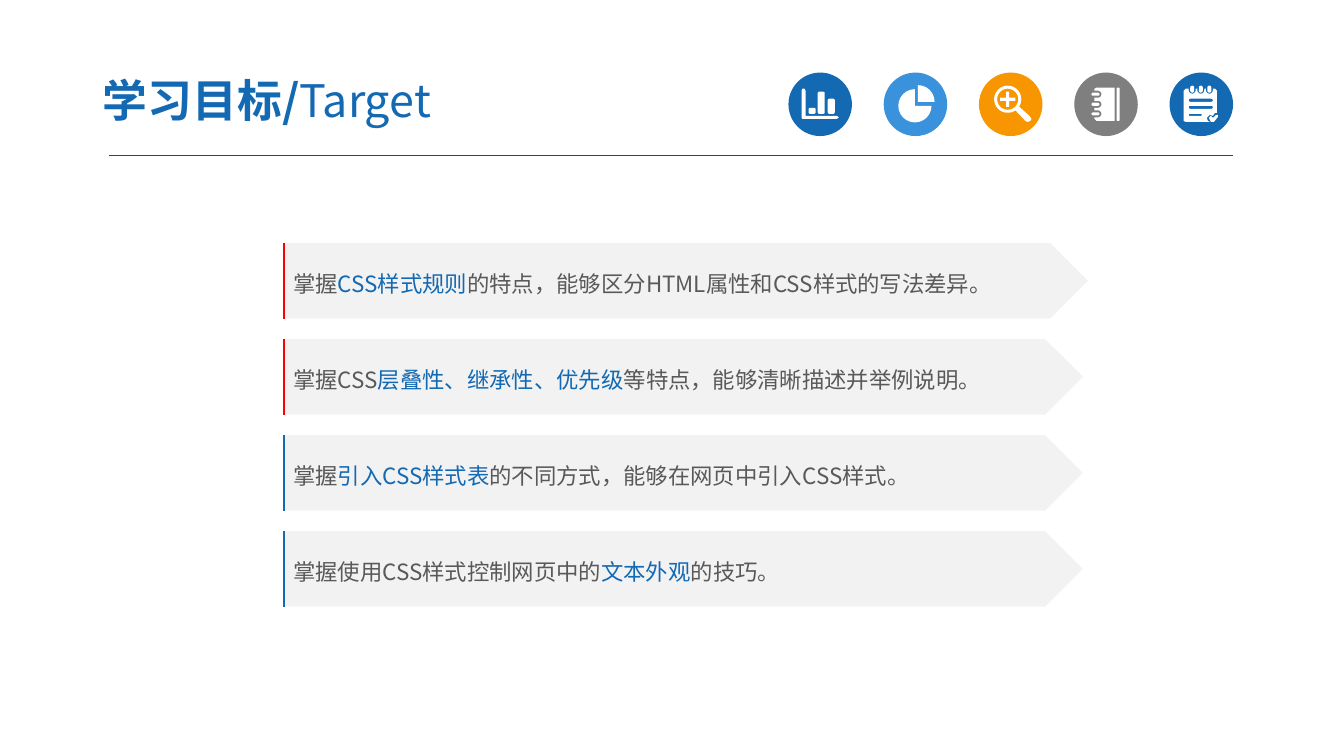
"""Builds the learning targets slide: a title, five round icons and four arrow-shaped goals."""
from dataclasses import dataclass
from math import cos, radians, sin

from lxml import etree
from pptx import Presentation
from pptx.dml.color import RGBColor
from pptx.enum.shapes import MSO_CONNECTOR, MSO_SHAPE
from pptx.enum.text import MSO_ANCHOR, PP_ALIGN
from pptx.oxml.ns import qn
from pptx.util import Inches, Pt

OVAL, ARROW = MSO_SHAPE.OVAL, MSO_SHAPE.PENTAGON
STRAIGHT = MSO_CONNECTOR.STRAIGHT
MIDDLE, LEFT = MSO_ANCHOR.MIDDLE, PP_ALIGN.LEFT


@dataclass(frozen=True)
class Theme:
    font: str = "Noto Sans CJK SC"
    blue: str = "1369B2"
    sky: str = "3992DB"
    orange: str = "F79600"
    gray: str = "7F7F7F"
    white: str = "FFFFFF"
    panel: str = "F2F2F2"
    body: str = "595959"
    red: str = "FF0000"
    rule: str = "404040"
    title_pt: int = 32
    goal_pt: int = 16


T = Theme()
TITLE = [("学习目标/", T.blue, True), ("Target", T.blue, False)]

GOALS = [
    (T.red, 7.98, ("掌握", "CSS样式规则", "的特点，能够区分HTML属性和CSS样式的写法差异。")),
    (T.red, 7.93, ("掌握CSS", "层叠性、继承性、优先级", "等特点，能够清晰描述并举例说明。")),
    (T.blue, 7.93, ("掌握", "引入CSS样式表", "的不同方式，能够在网页中引入CSS样式。")),
    (T.blue, 7.93, ("掌握使用CSS样式控制网页中的", "文本外观", "的技巧。")),
]

ICON_LEFT, ICON_TOP, ICON_SIZE, ICON_PITCH, CELL = 7.82, 0.72, 0.63, 0.945, 0.01
GOAL_LEFT, GOAL_TOP, GOAL_HEIGHT, GOAL_PITCH = 2.81, 2.41, 0.75, 0.953
EDGE_WIDTH = 0.12


def arc(cx, cy, radius, start, end, steps=6):
    angles = [radians(start + (end - start) * i / steps) for i in range(steps + 1)]
    return [(cx + radius * cos(a), cy + radius * sin(a)) for a in angles]


def card(x, y, w, h, radius=1.5):
    corners = [(x + w - radius, y + radius, -90), (x + w - radius, y + h - radius, 0),
               (x + radius, y + h - radius, 90), (x + radius, y + radius, 180)]
    return [point for cx, cy, a in corners for point in arc(cx, cy, radius, a, a + 90, 3)]


def bar_chart():
    axes = [(13, 18), (14, 16), (16, 16), (17, 18), (17, 43), (48, 43),
            (50, 44.5), (48, 46), (14, 46), (13, 45)]
    return [axes, card(20, 35, 7, 6), card(29, 19, 7, 22), card(39, 26, 7, 15)]


def pie_chart():
    return [[(31, 33)] + arc(31, 33, 16.5, 0, 270, 18),
            [(34, 29)] + arc(34, 29, 16.5, -90, 0)]


def magnifier():
    handle = [(50, 43), (52, 46), (51, 48), (48, 49), (46, 48)]
    plus = [(27, 19), (30, 19), (30, 25), (36, 25), (36, 28), (30, 28),
            (30, 34), (27, 34), (27, 28), (21, 28), (21, 25), (27, 25)]
    return [arc(28.5, 26.5, 13.5, 55, 393, 24) + handle,
            arc(28.5, 26.5, 10.5, 0, 345, 23), plus]


def notebook():
    rings = (18, 28, 37.5)
    page = [(40, 15), (40, 48), (22, 48), (20, 46)]
    for y in reversed(rings):
        page += [(20, y + 7)] + arc(23.5, y + 3.5, 3.5, 90, -90) + [(20, y)]
    page += [(20, 16), (22, 15)]
    return [page, card(42, 15, 3, 33, 1)] + [card(17, y + 2, 8, 3) for y in rings]


def notepad():
    rings = (19, 27.5, 36)
    page = [(14, 18), (16, 16)]
    for x in rings:
        page += [(x, 16)] + arc(x + 3.5, 17.5, 3.5, 180, 0) + [(x + 7, 16)]
    page += [(45, 16), (47, 18), (47, 40), (45, 40), (43, 43), (40, 42),
             (37, 45), (38, 48), (40, 49), (16, 49), (14, 48)]
    tick = [(48, 44), (44, 49), (41, 49), (39, 45), (41, 43), (43, 45), (46, 42), (48, 42)]
    lines = [card(19, 26, 24, 3), card(19, 33, 24, 3), card(19, 41, 13, 2, 1)]
    return [page, tick] + lines + [card(x + 1.5, 13, 4, 7, 2) for x in rings]


ICONS = [(T.blue, bar_chart), (T.sky, pie_chart), (T.orange, magnifier),
         (T.gray, notebook), (T.blue, notepad)]


def fill_shape(sp, color):
    sp.shadow.inherit = False
    sp.fill.solid()
    sp.fill.fore_color.rgb = RGBColor.from_string(color)
    sp.line.fill.background()


def add_shape(s, kind, box, color):
    sp = s.shapes.add_shape(kind, *map(Inches, box))
    fill_shape(sp, color)
    return sp


def add_rule(s):
    line = s.shapes.add_connector(STRAIGHT, *map(Inches, (1.08, 1.54, 12.23, 1.54)))
    line.line.color.rgb = RGBColor.from_string(T.rule)
    line.line.width = Pt(0.75)
    etree.SubElement(line._element.spPr, qn("a:effectLst"))


def write_runs(sp, runs, size, spacing=None):
    tf = sp.text_frame
    tf.word_wrap = True
    tf.vertical_anchor = MIDDLE
    p = tf.paragraphs[0]
    p.alignment = LEFT
    p.line_spacing = spacing
    for text, color, bold in runs:
        r = p.add_run()
        r.text = text
        r.font.size = Pt(size)
        r.font.bold = bold
        r.font.color.rgb = RGBColor.from_string(color)
        r.font.name = T.font
        ea = etree.SubElement(r.font._element, qn("a:ea"))
        ea.set("typeface", T.font)


def add_title(s):
    sp = s.shapes.add_textbox(*map(Inches, (0.89, 0.63, 5.22, 0.72)))
    tf = sp.text_frame
    tf.margin_left = tf.margin_right = Inches(0.13)
    tf.margin_top = tf.margin_bottom = Inches(0.07)
    write_runs(sp, TITLE, T.title_pt)


def add_icon(s, column, color, glyph):
    left = ICON_LEFT + column * ICON_PITCH
    add_shape(s, OVAL, (left, ICON_TOP, ICON_SIZE, ICON_SIZE), color)
    contours = [[(Inches(left + x * CELL), Inches(ICON_TOP + y * CELL)) for x, y in contour]
                for contour in glyph()]
    fb = s.shapes.build_freeform(*contours[0][0])
    fb.add_line_segments(contours[0][1:])
    for contour in contours[1:]:
        fb.move_to(*contour[0])
        fb.add_line_segments(contour[1:])
    fill_shape(fb.convert_to_shape(), T.white)


def add_edge(s, top, color):
    x, far = Inches(GOAL_LEFT + 0.01), Inches(GOAL_LEFT + 0.01 + EDGE_WIDTH)
    y, bottom = Inches(top), Inches(top + GOAL_HEIGHT)
    fb = s.shapes.build_freeform(x, bottom)
    fb.add_line_segments([(x, y)], close=False)
    fb.move_to(far, y)
    edge = fb.convert_to_shape()
    edge.shadow.inherit = False
    edge.fill.background()
    edge.line.color.rgb = RGBColor.from_string(color)
    edge.line.width = Pt(1.5)


def add_goal(s, row, edge, width, texts):
    top = GOAL_TOP + row * GOAL_PITCH
    sp = add_shape(s, ARROW, (GOAL_LEFT, top, width, GOAL_HEIGHT), T.panel)
    colors = (T.body, T.blue, T.body)
    runs = [(text, color, False) for text, color in zip(texts, colors)]
    write_runs(sp, runs, T.goal_pt, 1.2)
    add_edge(s, top, edge)


def main():
    prs = Presentation()
    prs.slide_width, prs.slide_height = Inches(13.33), Inches(7.5)
    s = prs.slides.add_slide(prs.slide_layouts[6])
    add_rule(s)
    for column, (color, glyph) in enumerate(ICONS):
        add_icon(s, column, color, glyph)
    add_title(s)
    for row, goal in enumerate(GOALS):
        add_goal(s, row, *goal)
    prs.save("out.pptx")


if __name__ == "__main__":
    main()
